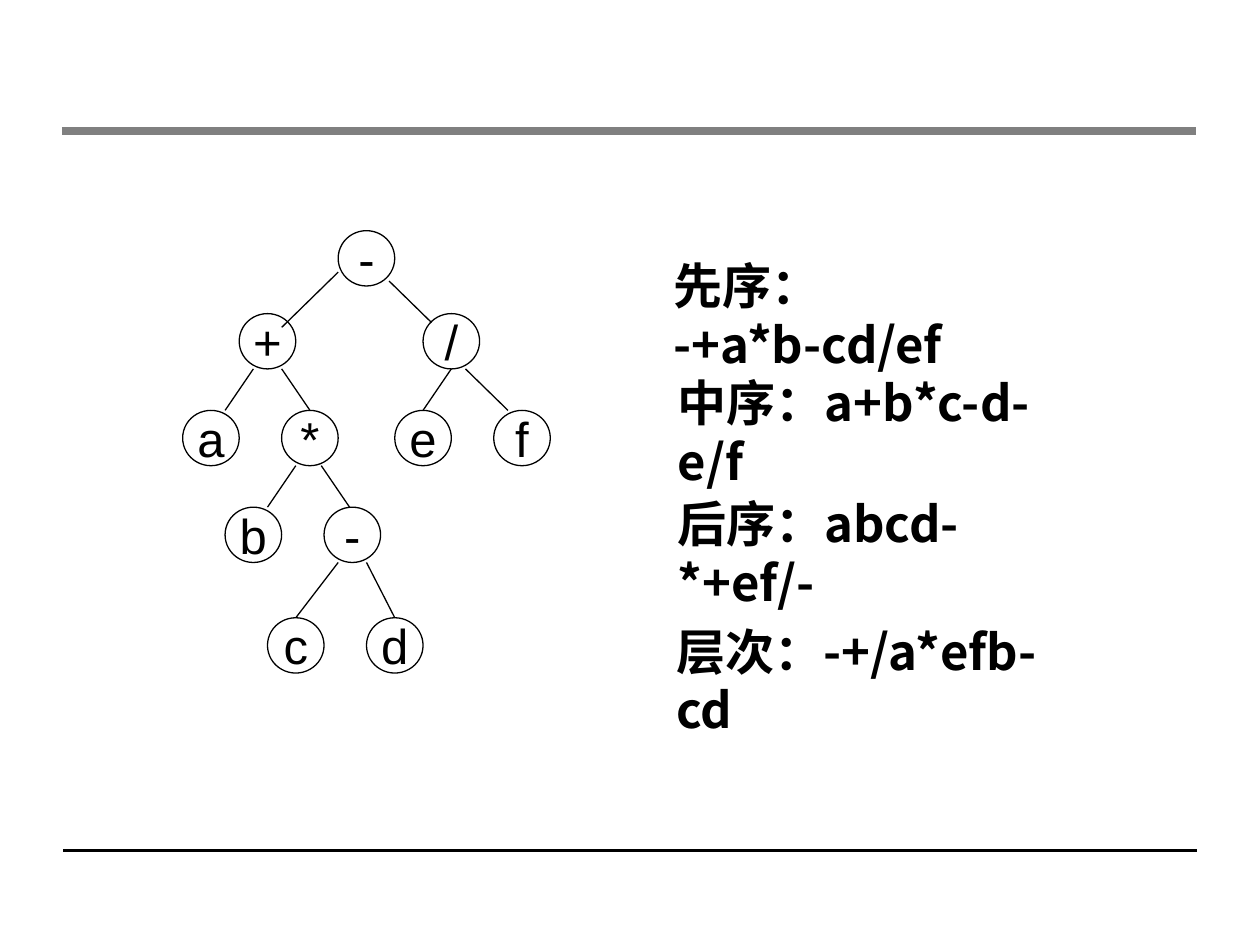
from pptx import Presentation
from pptx.dml.color import RGBColor
from pptx.enum.shapes import MSO_CONNECTOR as Connector, MSO_SHAPE as Shape
from pptx.enum.text import MSO_ANCHOR as Anchor, MSO_AUTO_SIZE as AutoSize, PP_ALIGN as Align
from pptx.oxml.ns import qn
from pptx.util import Pt
from lxml.etree import SubElement

COLORS = {"ink": "000000", "rule": "808080", "paper": "FFFFFF"}
LATIN = "Arial"
CHINESE = "Noto Sans CJK SC"

TREE_LEFT, TREE_TOP = 104.4, 131.8
UNIT_X, UNIT_Y = 8.08, 7.9
NODE_UNITS = 4

NODES = [
    ("-", 11, 0), ("+", 4, 6), ("/", 17, 6),
    ("e", 15, 13), ("*", 7, 13), ("a", 0, 13), ("f", 22, 13),
    ("b", 3, 20), ("-", 10, 20), ("c", 6, 28), ("d", 13, 28),
]
EDGES = [
    (11, 3, 7, 7), (14.6, 3.65, 17.6, 6.65),
    (5, 10, 3, 13), (7, 10, 9, 13),
    (8, 17, 6, 20), (9.8, 17, 11.8, 20),
    (19, 10, 17, 13), (20, 10, 23, 13),
    (11, 24, 8, 28), (13, 24, 15, 28),
]
TRAVERSALS = [
    ("先序： -+a*b-cd/ef", 378, 139.7, 252),
    ("中序：a+b*c-d-e/f", 380.2, 206.6, 234.7),
    ("后序：abcd-*+ef/-", 380.2, 275.8, 234.7),
    ("层次：-+/a*efb-cd", 379.4, 348.5, 234.7),
]


def color(name):
    return RGBColor.from_string(COLORS[name])


def write(frame, text, font=LATIN, size=28, bold=False, align=Align.LEFT, spacing=None):
    para = frame.paragraphs[0]
    para.alignment = align
    if spacing:
        para.line_spacing = Pt(spacing)
    span = para.add_run()
    span.text = text
    span.font.size = Pt(size)
    span.font.bold = bold
    span.font.color.rgb = color("ink")
    span.font.name = font
    SubElement(span.font._element, qn("a:ea")).set("typeface", font)


class Painter:
    def __init__(self, page):
        self.page = page

    def line(self, x1, y1, x2, y2, ink="ink", width=0.75):
        line = self.page.shapes.add_connector(
            Connector.STRAIGHT, Pt(x1), Pt(y1), Pt(x2), Pt(y2))
        line.line.color.rgb = color(ink)
        line.line.width = Pt(width)
        SubElement(line._element.spPr, qn("a:effectLst"))

    def node(self, label, column, row):
        node = self.page.shapes.add_shape(
            Shape.OVAL, Pt(TREE_LEFT + column * UNIT_X), Pt(TREE_TOP + row * UNIT_Y),
            Pt(NODE_UNITS * UNIT_X), Pt(NODE_UNITS * UNIT_Y))
        node.shadow.inherit = False
        node.fill.solid()
        node.fill.fore_color.rgb = color("paper")
        node.line.color.rgb = color("ink")
        node.line.width = Pt(0.75)
        frame = node.text_frame
        frame.word_wrap = False
        frame.vertical_anchor = Anchor.MIDDLE
        write(frame, label, align=Align.CENTER)

    def edge(self, x1, y1, x2, y2):
        self.line(TREE_LEFT + x1 * UNIT_X, TREE_TOP + y1 * UNIT_Y,
                  TREE_LEFT + x2 * UNIT_X, TREE_TOP + y2 * UNIT_Y)

    def traversal(self, text, left, top, width):
        box = self.page.shapes.add_textbox(Pt(left), Pt(top), Pt(width), Pt(41))
        frame = box.text_frame
        frame.word_wrap = True
        frame.auto_size = AutoSize.SHAPE_TO_FIT_TEXT
        frame.margin_top = Pt(6.6)
        write(frame, text, font=CHINESE, bold=True, spacing=33.5)


def main():
    deck = Presentation()
    deck.slide_width, deck.slide_height = Pt(720), Pt(540)
    painter = Painter(deck.slides.add_slide(deck.slide_layouts[6]))
    painter.line(36, 486, 684, 486, width=2)
    painter.line(35.3, 74.9, 683.3, 74.9, ink="rule", width=5)
    for node in NODES:
        painter.node(*node)
    for edge in EDGES:
        painter.edge(*edge)
    for traversal in TRAVERSALS:
        painter.traversal(*traversal)
    deck.save("out.pptx")


if __name__ == "__main__":
    main()
